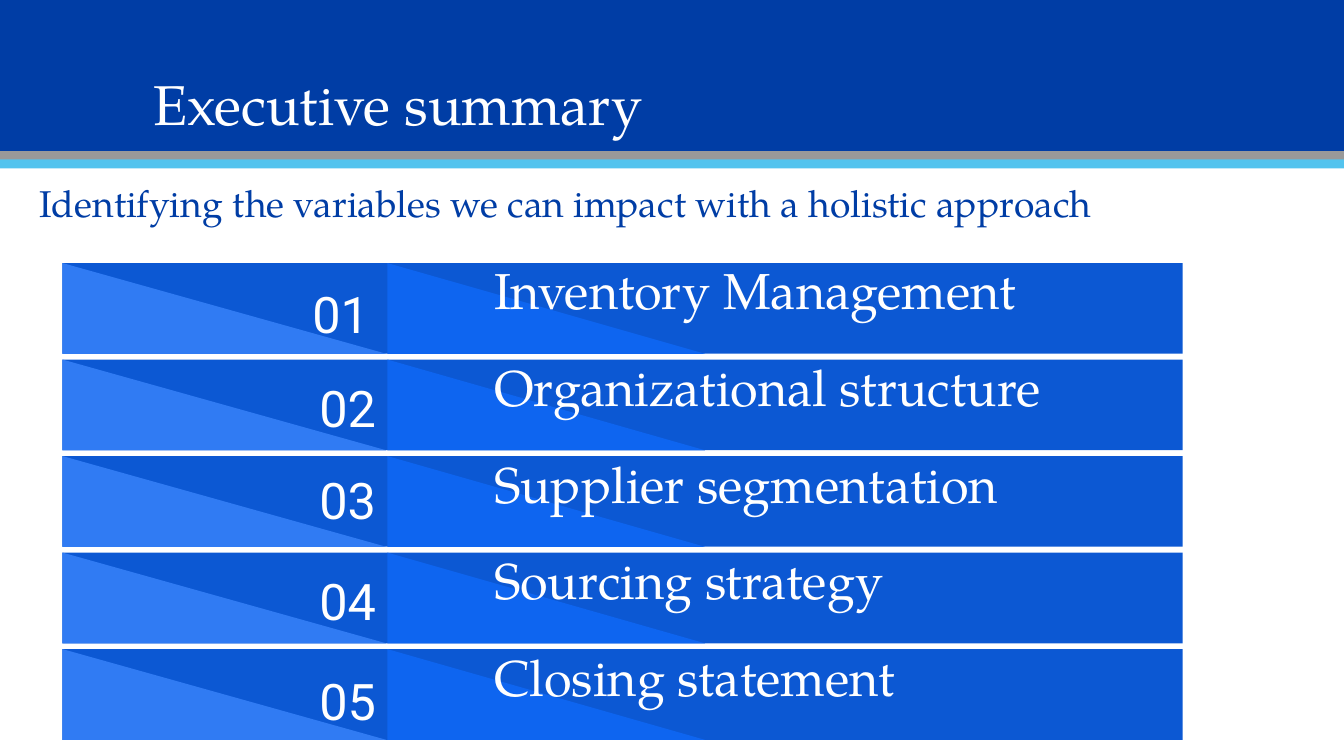
from dataclasses import dataclass

from pptx import Presentation
from pptx.dml.color import RGBColor
from pptx.enum.shapes import MSO_SHAPE
from pptx.enum.text import MSO_ANCHOR, PP_ALIGN
from pptx.util import Inches, Pt


@dataclass(frozen=True)
class Theme:
    navy: str = "003DA5"
    gray: str = "999999"
    sky: str = "53C3EE"
    bar: str = "0C58D3"
    mid: str = "0E65F0"
    light: str = "307BF3"
    white: str = "FFFFFF"
    serif: str = "TeX Gyre Pagella"
    sans: str = "Roboto"
    title: float = 40
    item: float = 36
    lead: float = 26.6


THEME = Theme()
TOPICS = [
    ("Inventory Management", 10.62, 3),
    ("Organizational structure", 11.25, 0),
    ("Supplier segmentation", 11.25, -4),
    ("Sourcing strategy", 11.25, 0),
    ("Closing statement", 11.25, 4),
]
PITCH = 20.24
DEPTH = 19.03


def part(box, left, top, width, height):
    x, y, w, h = box
    return (x + w * left / 100, y + h * top / 100,
            w * width / 100, h * height / 100)


def add_block(slide, box, color, kind=MSO_SHAPE.RECTANGLE):
    block = slide.shapes.add_shape(kind, *map(round, box))
    block.shadow.inherit = False
    block.fill.solid()
    block.fill.fore_color.rgb = RGBColor.from_string(color)
    block.line.fill.background()


def add_text(slide, box, words, face, size, color, pad=(0.1, 0.05),
             anchor=MSO_ANCHOR.TOP, indent=0, **style):
    frame = slide.shapes.add_textbox(*map(round, box)).text_frame
    side, edge = map(Inches, pad)
    layout = {"word_wrap": True, "vertical_anchor": anchor,
              "margin_left": side, "margin_right": side,
              "margin_top": edge, "margin_bottom": edge}
    for name, value in layout.items():
        setattr(frame, name, value)
    line = frame.paragraphs[0]
    for name, value in style.items():
        setattr(line, name, value)
    if indent:
        props = line._p.get_or_add_pPr()
        props.set("marL", str(Inches(indent)))
        props.set("indent", "0")
    run = line.add_run()
    run.text = words
    for name, value in {"name": face, "size": Pt(size)}.items():
        setattr(run.font, name, value)
    run.font.color.rgb = RGBColor.from_string(color)


def add_header(slide, box):
    bands = [(0, 89.8, THEME.navy), (89.8, 5.4, THEME.gray),
             (94.6, 5.4, THEME.sky)]
    for top, height, color in bands:
        add_block(slide, part(box, 0, top, 100, height), color)
    add_text(slide, part(box, 10.65, 16.77, 78.77, 67.66),
             "Executive summary", THEME.serif, THEME.title, THEME.white,
             anchor=MSO_ANCHOR.BOTTOM, line_spacing=0.9)


def add_lead(slide, box):
    add_text(slide, box,
             "Identifying the variables we can impact with a holistic approach",
             THEME.serif, THEME.lead, THEME.navy, line_spacing=0.7)


def add_topic(slide, box, number, words, left, drop):
    add_block(slide, box, THEME.bar)
    for start, width, color in [(29, 28.35, THEME.mid),
                                (0, 28.9, THEME.light)]:
        add_block(slide, part(box, start, 0, width, 100), color,
                  MSO_SHAPE.RIGHT_TRIANGLE)
    add_text(slide, part(box, left, drop, 17.91, 100), f"{number:02}",
             THEME.sans, THEME.item, THEME.white, pad=(0.13, 0.13),
             anchor=MSO_ANCHOR.BOTTOM, alignment=PP_ALIGN.RIGHT)
    add_text(slide, part(box, 31.95, 0, 62.56, 100), words,
             THEME.serif, THEME.item, THEME.white, pad=(0.13, 0.13),
             indent=0.6, line_spacing=0.7, space_before=Pt(10))


def add_agenda(slide, box):
    for index, (words, left, drop) in enumerate(TOPICS):
        row = part(box, 0, index * PITCH, 100, DEPTH)
        add_topic(slide, row, index + 1, words, left, drop)


def main():
    deck = Presentation()
    deck.slide_width, deck.slide_height = Inches(13.33), Inches(7.5)
    slide = deck.slides.add_slide(deck.slide_layouts[6])
    page = (0, 0, deck.slide_width, deck.slide_height)
    add_header(slide, part(page, 0, 0, 100, 22.27))
    add_agenda(slide, part(page, 4.65, 34.8, 83.35, 63.07))
    add_lead(slide, part(page, 2.18, 24.8, 86.72, 6.67))
    deck.save("out.pptx")


if __name__ == "__main__":
    main()
